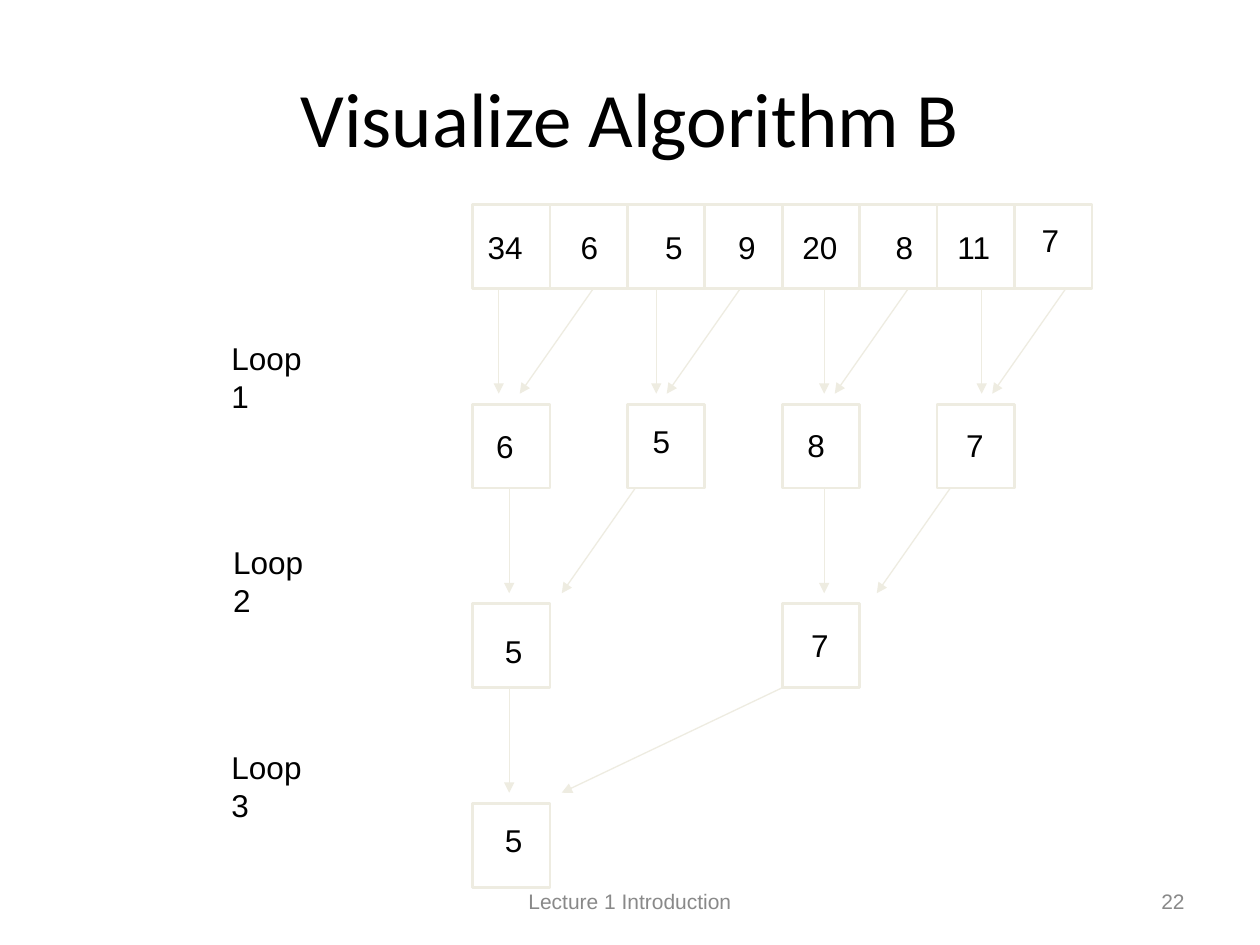
from pptx import Presentation
from pptx.dml.color import RGBColor
from pptx.enum.shapes import MSO_CONNECTOR, MSO_SHAPE
from pptx.enum.text import MSO_ANCHOR, MSO_AUTO_SIZE, PP_ALIGN
from pptx.oxml.ns import qn
from pptx.util import Pt
from lxml.etree import SubElement

COLORS = {"text": "000000", "line": "EEECE1", "foot": "898989"}
LEFT, TOP = 270, 117
CELL_W, CELL_H = 44.25, 48
ROW_STEP, REACH = 114, 60

# Each level: gap between cells in columns, then (value, left, top) of its text
LEVELS = [
    (1, [("34", 271.5, 126.7), ("6", 324.7, 126.7), ("5", 373, 126.7),
         ("9", 414.7, 126.7), ("20", 451.4, 126.7), ("8", 504.7, 126.7),
         ("11", 540, 126.7), ("7", 588.2, 123)]),
    (2, [("6", 276.5, 240.5), ("5", 365.8, 237.6),
         ("8", 454.3, 239.8), ("7", 545, 239.8)]),
    (4, [("5", 281.5, 357.8), ("7", 456.5, 354.2)]),
    (8, [("5", 281.5, 465.8)]),
]
# Arrows under each level: (start x, end x)
ARROWS = [
    [(285, 285), (339, 297), (375, 375), (423, 381),
     (471, 471), (519, 477), (561, 561), (609, 567)],
    [(291, 291), (363, 321), (471, 471), (543, 501)],
    [(291, 291), (447, 321)],
]
LOOPS = [("Loop 1", 125.2, 190), ("Loop 2", 126.2, 307), ("Loop 3", 125.2, 424)]


def color(key):
    return RGBColor.from_string(COLORS[key])


class Deck:
    """Holds the style and the current slide."""

    def __init__(self):
        self.show = Presentation()
        self.show.slide_width, self.show.slide_height = Pt(720), Pt(540)
        self.slide = self.show.slides.add_slide(self.show.slide_layouts[5])

    def style(self, frame, size, font, key, align):
        para = frame.paragraphs[0]
        para.alignment = align
        for run in para.runs:
            run.font.size = Pt(size)
            run.font.name = font
            run.font.color.rgb = color(key)

    def title(self, text):
        shape = self.slide.shapes.title
        shape.left, shape.top = Pt(36), Pt(21.6)
        shape.width, shape.height = Pt(648), Pt(90)
        frame = shape.text_frame
        frame.text = text
        frame.vertical_anchor = MSO_ANCHOR.MIDDLE
        self.style(frame, 44, "Calibri", "text", PP_ALIGN.CENTER)

    def label(self, text, x, y, width):
        box = self.slide.shapes.add_textbox(Pt(x), Pt(y), Pt(width), Pt(29))
        frame = box.text_frame
        frame.text = text
        frame.word_wrap = False
        frame.auto_size = MSO_AUTO_SIZE.SHAPE_TO_FIT_TEXT
        self.style(frame, 18, "Arial", "text", PP_ALIGN.LEFT)

    def foot(self, text, x, width, align):
        box = self.slide.shapes.add_textbox(Pt(x), Pt(500.5), Pt(width), Pt(28.75))
        frame = box.text_frame
        frame.text = text
        frame.word_wrap = True
        frame.vertical_anchor = MSO_ANCHOR.MIDDLE
        self.style(frame, 12, "Arial", "foot", align)

    def cell(self, x, y):
        shape = self.slide.shapes.add_shape(
            MSO_SHAPE.RECTANGLE, Pt(x), Pt(y), Pt(CELL_W), Pt(CELL_H))
        shape.shadow.inherit = False
        shape.fill.background()
        shape.line.color.rgb = color("line")
        shape.line.width = Pt(1.5)

    def arrow(self, x1, y1, x2, y2):
        link = self.slide.shapes.add_connector(
            MSO_CONNECTOR.STRAIGHT, Pt(x1), Pt(y1), Pt(x2), Pt(y2))
        link.line.color.rgb = color("line")
        link.line.width = Pt(0.75)
        SubElement(link.line._get_or_add_ln(), qn("a:tailEnd"), type="triangle")
        SubElement(link._element.spPr, qn("a:effectLst"))


def main():
    deck = Deck()
    deck.title("Visualize Algorithm B")
    for row, (gap, items) in enumerate(LEVELS):
        y = TOP + row * ROW_STEP
        for col, (value, x, top) in enumerate(items):
            deck.cell(LEFT + col * gap * CELL_W, y)
            deck.label(value, x, top, 14.5 + 10 * len(value))
    for row, pairs in enumerate(ARROWS):
        y = TOP + row * ROW_STEP + CELL_H
        for start, end in pairs:
            deck.arrow(start, y, end, y + REACH)
    for text, x, y in LOOPS:
        deck.label(text, x, y, 69)
    deck.foot("Lecture 1 Introduction", 246, 228, PP_ALIGN.CENTER)
    deck.foot("22", 516, 168, PP_ALIGN.RIGHT)
    deck.show.save("out.pptx")


if __name__ == "__main__":
    main()
